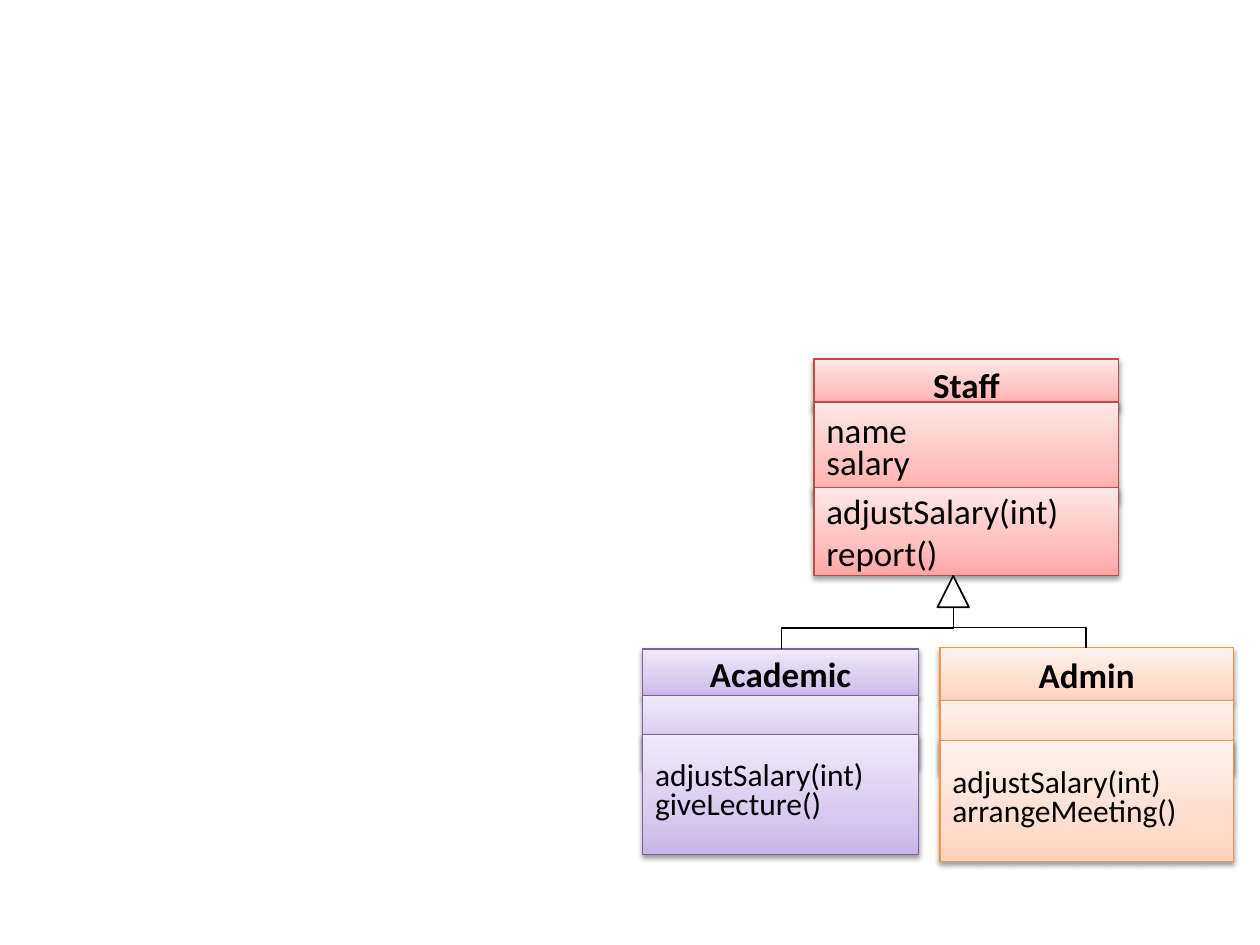
from copy import deepcopy
from lxml.etree import SubElement
from pptx import Presentation
from pptx.dml.color import RGBColor as RGB
from pptx.enum.shapes import MSO_CONNECTOR as CON, MSO_SHAPE as SHAPE
from pptx.enum.text import MSO_ANCHOR as ANCHOR, PP_ALIGN as ALIGN
from pptx.oxml.ns import qn
from pptx.util import Inches, Pt

COLORS = {
    "red": ("FFA6A5", "FFC0BF", "FFE7E7", "BF4C48"),
    "purple": ("C9B5E8", "D8CBEE", "F0EAF9", "7D60A0"),
    "orange": ("FFD2BD", "FFDED0", "FFF2ED", "F69240"),
    "black": "000000",
    "white": "FFFFFF",
}
BLACK = RGB.from_string(COLORS["black"])


def add_box(left, top, width, height, tone):
    box = slide.shapes.add_shape(
        SHAPE.RECTANGLE, Inches(left), Inches(top), Inches(width), Inches(height))
    *shades, edge = COLORS[tone]
    box.fill.gradient()
    box.fill.gradient_angle = 90
    first = box._element.spPr.find(".//" + qn("a:gs"))
    first.addnext(deepcopy(first))
    for stop, shade, pos in zip(box.fill.gradient_stops, shades, (0, 0.35, 1)):
        stop.color.rgb = RGB.from_string(shade)
        stop.position = pos
    box.line.color.rgb = RGB.from_string(edge)
    box.line.width = Pt(0.75)
    box.shadow.inherit = False
    glow = SubElement(
        box._element.spPr.find(qn("a:effectLst")), qn("a:outerShdw"),
        blurRad=str(Pt(3.1)), dist=str(Pt(1.6)), dir="5400000", rotWithShape="0")
    tint = SubElement(glow, qn("a:srgbClr"), val=COLORS["black"])
    SubElement(tint, qn("a:alpha"), val="38000")
    return box


def add_text(box, lines, size, align=ALIGN.LEFT, bold=False, tight=False):
    frame = box.text_frame
    frame.word_wrap = True
    frame.vertical_anchor = ANCHOR.MIDDLE
    frame.text = "\n".join(lines)
    for i, para in enumerate(frame.paragraphs):
        para.alignment = align
        if tight:
            para.line_spacing = 0.6
            para.space_before = Pt(size * 0.2 if i else 0)
        para.font.name = "Calibri"
        para.font.size = Pt(size)
        para.font.bold = bold
        para.font.color.rgb = BLACK


prs = Presentation()
prs.slide_width, prs.slide_height = Inches(10), Inches(7.5)
slide = prs.slides.add_slide(prs.slide_layouts[6])

classes = [
    ("Staff", "red", 6.46, 2.42, [(2.85, 0.4), (3.19, 0.79), (3.87, 0.7)],
     ["name", "salary"], ["adjustSalary(int)", "report()"], 20),
    ("Academic", "purple", 5.1, 2.19, [(5.15, 0.39), (5.52, 0.57), (5.83, 0.95)],
     [], ["adjustSalary(int)", "giveLecture()"], 18),
    ("Admin", "orange", 7.46, 2.33, [(5.14, 0.42), (5.56, 0.57), (5.88, 0.96)],
     [], ["adjustSalary(int)", "arrangeMeeting()"], 18),
]
for name, tone, left, width, rows, fields, methods, size in classes:
    head, mid, foot = [add_box(left, top, width, high, tone) for top, high in rows]
    add_text(head, [name], 20, ALIGN.CENTER, bold=True)
    if fields:
        add_text(mid, fields, 20, tight=True)
    add_text(foot, methods, size, tight=not fields)

tip_x, tip_y = 7.57, 4.82
for x, y, side, turn in [(6.2, 5.15, 1, 90), (8.62, 5.14, -1, 270)]:
    mid_x, mid_y = (x + tip_x) / 2, (y + tip_y) / 2
    dx, dy = side * (y - tip_y) / 2, abs(x - tip_x) / 2
    link = slide.shapes.add_connector(
        CON.ELBOW, Inches(mid_x + dx), Inches(mid_y + dy),
        Inches(mid_x - dx), Inches(mid_y - dy))
    link.line.color.rgb = BLACK
    link.line.width = Pt(0.75)
    props = link._element.spPr
    props.find(qn("a:xfrm")).set("rot", str(turn * 60000))
    SubElement(props, qn("a:effectLst"))

arrow = slide.shapes.add_shape(
    SHAPE.FLOWCHART_EXTRACT, Inches(7.44), Inches(4.57), Inches(0.25), Inches(0.25))
arrow.shadow.inherit = False
arrow.fill.solid()
arrow.fill.fore_color.rgb = RGB.from_string(COLORS["white"])
arrow.line.color.rgb = BLACK
arrow.line.width = Pt(1)

prs.save("out.pptx")
